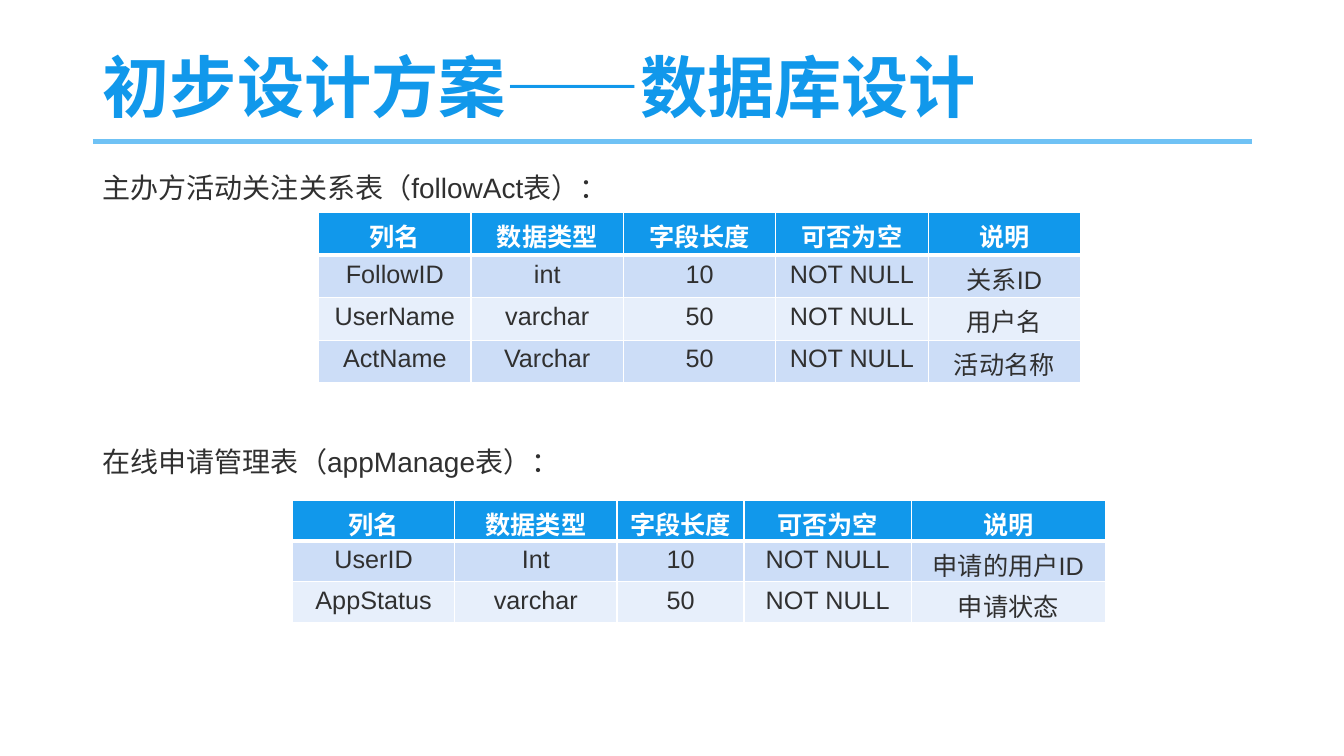
from dataclasses import dataclass

import pptx
import pptx.dml.color
import pptx.enum.shapes
import pptx.enum.text
import pptx.oxml
import pptx.oxml.ns
import pptx.util
from pptx.util import Cm


@dataclass(frozen=True)
class Theme:
    font: str = "Arial"
    accent: str = "1198EB"
    rule: str = "6FC2F5"
    ink: str = "303030"
    white: str = "FFFFFF"
    bands: tuple = ("CCDDF7", "E7EFFB")
    title_size: int = 48
    caption_size: int = 20
    cell_size: int = 18


THEME = Theme()
LEFT = Cm(2.34)
CONTENT_WIDTH = Cm(29.21)
HEADER = ("列名", "数据类型", "字段长度", "可否为空", "说明")
FOLLOW_ROWS = (
    ("FollowID", "int", "10", "NOT NULL", "关系ID"),
    ("UserName", "varchar", "50", "NOT NULL", "用户名"),
    ("ActName", "Varchar", "50", "NOT NULL", "活动名称"),
)
APPLICATION_ROWS = (
    ("UserID", "Int", "10", "NOT NULL", "申请的用户ID"),
    ("AppStatus", "varchar", "50", "NOT NULL", "申请状态"),
)


def rgb(color):
    return pptx.dml.color.RGBColor.from_string(color)


def add_run(paragraph, text, size, color, bold=False):
    run = paragraph.add_run()
    run.text = text
    run.font.name = THEME.font
    run.font.size = pptx.util.Pt(size)
    run.font.bold = bold
    run.font.color.rgb = rgb(color)


def add_text(slide, text, top, width, height, size, color, line_spacing, bold=False):
    shape = slide.shapes.add_textbox(LEFT, top, width, height)
    frame = shape.text_frame
    frame.word_wrap = True
    paragraph = frame.paragraphs[0]
    paragraph.line_spacing = line_spacing
    add_run(paragraph, text, size, color, bold)
    return shape


def add_title(slide, text):
    shape = add_text(slide, text, Cm(1.02), CONTENT_WIDTH, Cm(2.54),
                     THEME.title_size, THEME.accent, 0.9, True)
    shape.text_frame.vertical_anchor = pptx.enum.text.MSO_ANCHOR.MIDDLE


def add_caption(slide, text, top):
    add_text(slide, text, top, Cm(23.34), Cm(1.45), THEME.caption_size, THEME.ink, 1.3)


def add_rule(slide, top):
    connector = slide.shapes.add_connector(
        pptx.enum.shapes.MSO_CONNECTOR.STRAIGHT, LEFT, top, LEFT + CONTENT_WIDTH, top)
    connector.line.color.rgb = rgb(THEME.rule)
    connector.line.width = pptx.util.Pt(3.5)
    properties = connector._element.spPr
    properties.append(properties.makeelement(pptx.oxml.ns.qn("a:effectLst"), {}))


def set_borders(cell, top_width, bottom_width):
    properties = cell._tc.get_or_add_tcPr()
    for side, width in (("L", 1), ("R", 1), ("T", top_width), ("B", bottom_width)):
        properties.append(pptx.oxml.parse_xml(
            f'<a:ln{side} {pptx.oxml.ns.nsdecls("a")} w="{pptx.util.Pt(width)}">'
            f'<a:solidFill><a:srgbClr val="{THEME.white}"/></a:solidFill></a:ln{side}>'))


def fill_cell(cell, text, row_index):
    is_header = row_index == 0
    set_borders(cell, 3 if row_index == 1 else 1, 3 if is_header else 1)
    cell.fill.solid()
    cell.fill.fore_color.rgb = rgb(
        THEME.accent if is_header else THEME.bands[(row_index - 1) % 2])
    paragraph = cell.text_frame.paragraphs[0]
    paragraph.alignment = pptx.enum.text.PP_ALIGN.CENTER
    add_run(paragraph, text, THEME.cell_size,
            THEME.white if is_header else THEME.ink, is_header)


def add_field_table(slide, records, left, top, column_widths, row_height):
    rows = (HEADER, *records)
    table = slide.shapes.add_table(
        len(rows), len(HEADER), left, top,
        sum(column_widths), row_height * len(rows)).table
    for column, width in zip(table.columns, column_widths):
        column.width = width
    for row_index, row in enumerate(rows):
        table.rows[row_index].height = row_height
        for column_index, text in enumerate(row):
            fill_cell(table.cell(row_index, column_index), text, row_index)


def main():
    presentation = pptx.Presentation()
    presentation.slide_width = Cm(33.87)
    presentation.slide_height = Cm(19.05)
    slide = presentation.slides.add_slide(presentation.slide_layouts[6])

    add_rule(slide, Cm(3.56))
    add_title(slide, "初步设计方案——数据库设计")
    add_caption(slide, "主办方活动关注关系表（followAct表）：", Cm(3.91))
    add_field_table(slide, FOLLOW_ROWS, Cm(8.03), Cm(5.36),
                    [Cm(3.84)] * len(HEADER), Cm(1.07))
    add_caption(slide, "在线申请管理表（appManage表）：", Cm(10.82))
    add_field_table(slide, APPLICATION_ROWS, Cm(7.37), Cm(12.6),
                    [Cm(width) for width in (4.09, 4.09, 3.2, 4.22, 4.88)], Cm(1.03))

    presentation.save("out.pptx")


if __name__ == "__main__":
    main()
